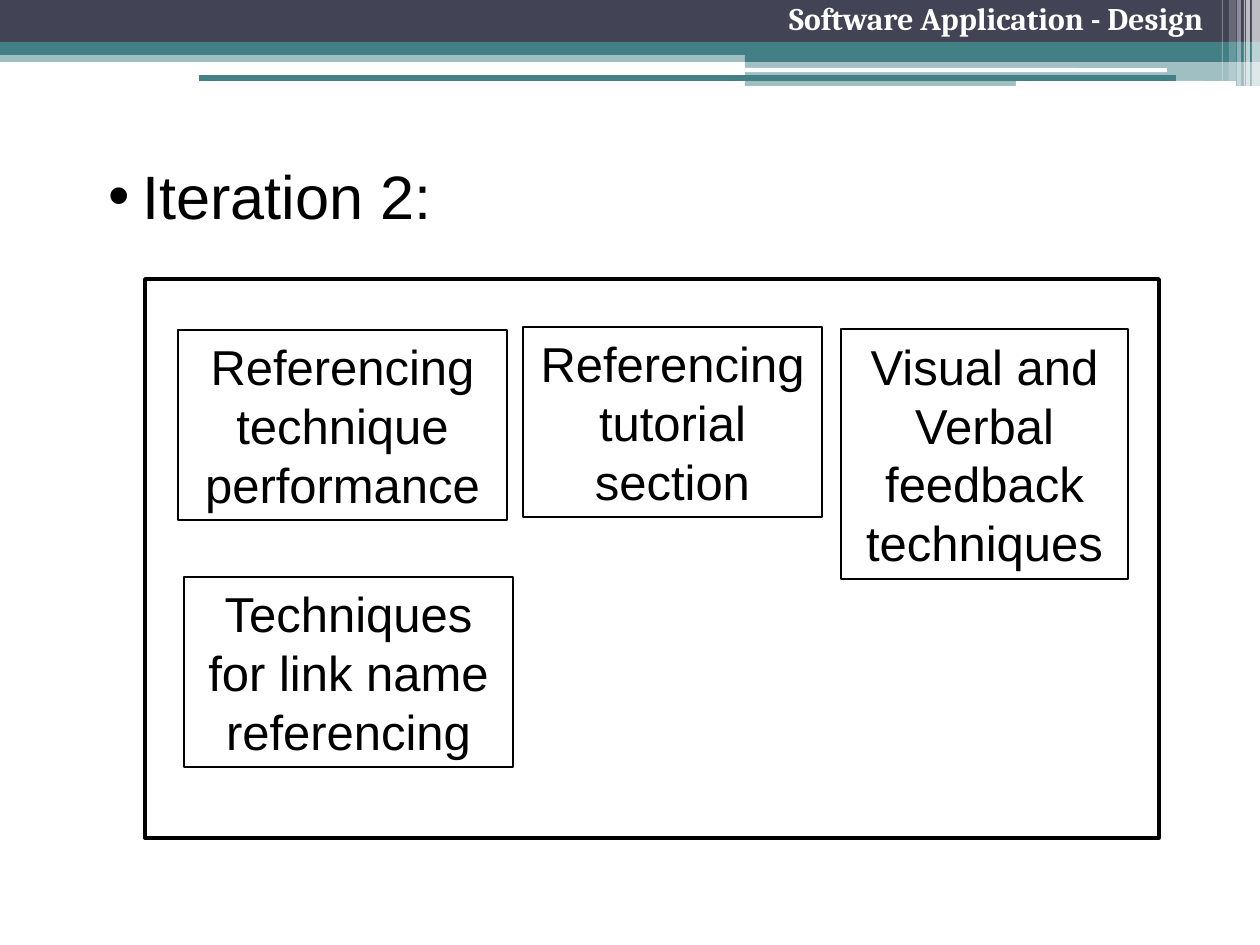
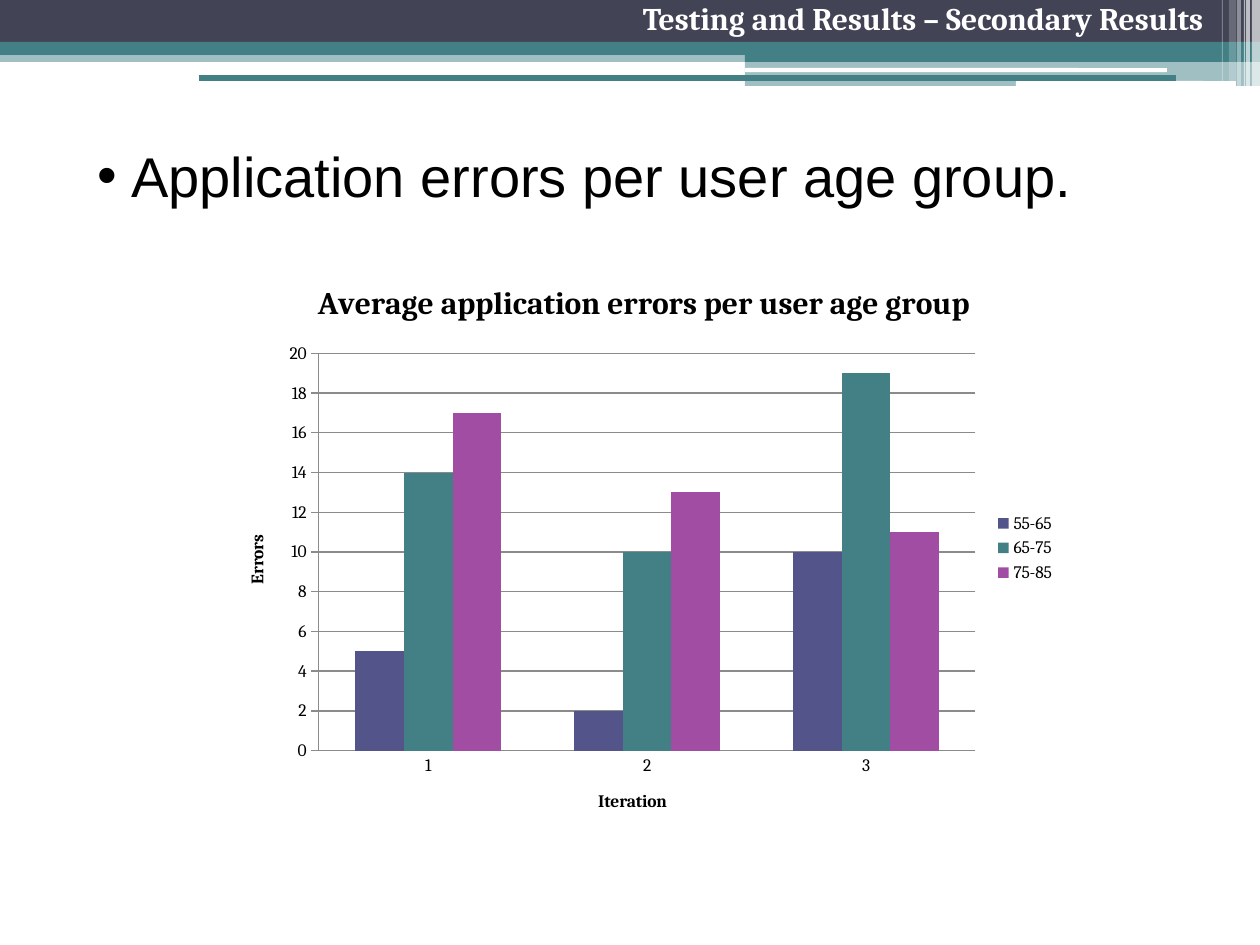
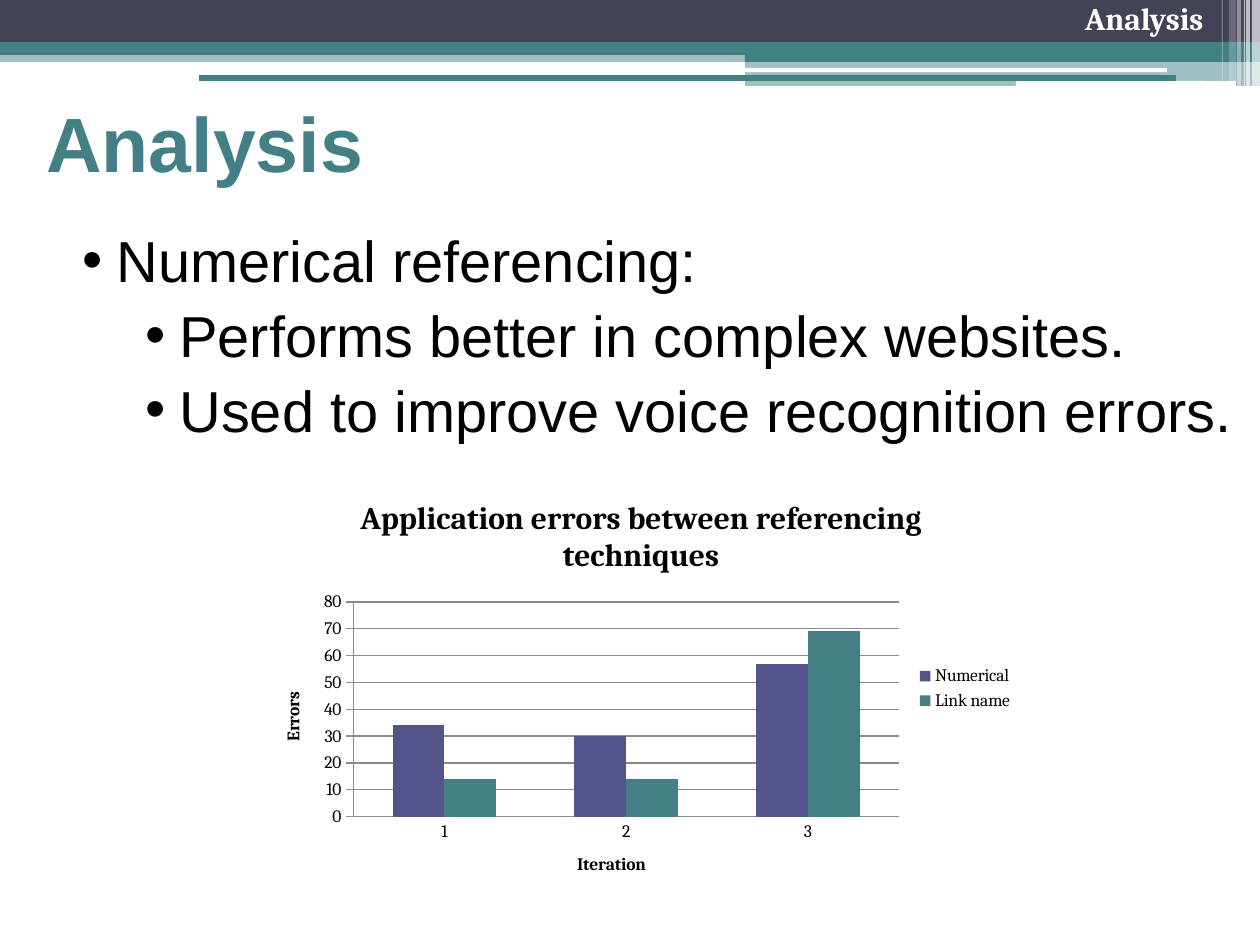
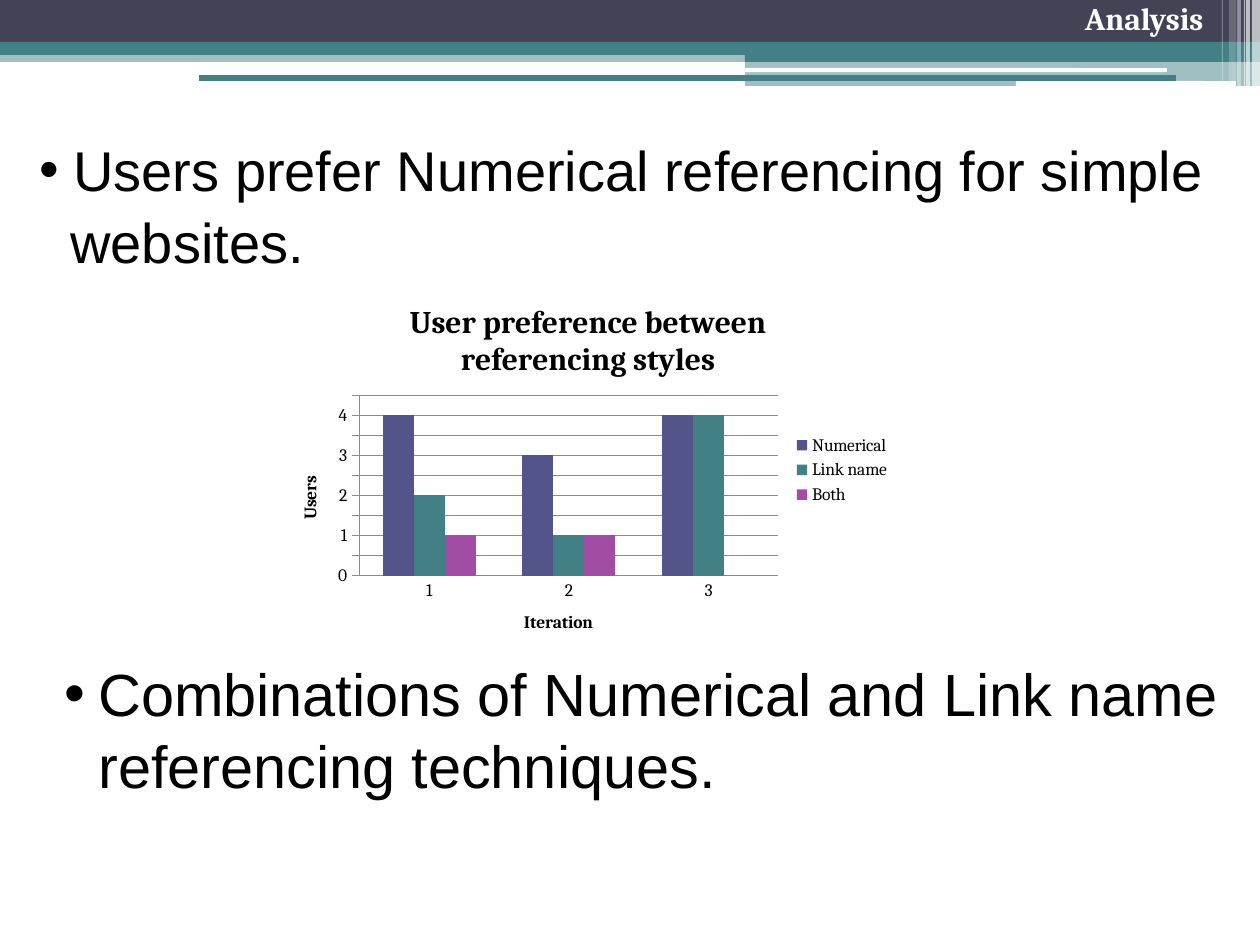
from lxml import etree
from pptx import Presentation
from pptx import util as u
from pptx.chart.data import CategoryChartData
from pptx.dml.color import RGBColor
from pptx.enum import chart as ch, shapes as sh, text as tx
from pptx.oxml.ns import qn

PX = 914400 // 126
COLORS = {"dark": "424456", "teal": "438086", "indigo": "53548A",
          "purple": "A04DA3", "white": "FFFFFF", "black": "000000",
          "grey": "8B8B8B"}
SERIES = ["indigo", "teal", "purple"]

# Top band: box, colour, opacity in percent, rounded
BAND = [
    ((0, 50, 1260, 12), "teal", 50, False),
    ((0, 0, 1260, 43), "dark", 100, False),
    ((0, 42, 1260, 13), "teal", 100, False),
    ((745, 49, 515, 13), "teal", 100, False),
    ((745, 61, 515, 25), "teal", 50, False),
    ((745, 68, 422, 4), "white", 100, True),
    ((1016, 81, 220, 5), "white", 100, True),
    ((1252, 0, 8, 86), "white", 65, False),
    ((1246, 0, 4, 86), "white", 65, False),
    ((1244, 0, 1, 86), "white", 60, False),
    ((1237, 0, 4, 86), "white", 40, False),
    ((1229, 0, 7, 81), "white", 20, False),
    ((1222, 0, 1, 81), "white", 30, False),
]
HEAD = {"size": 18, "name": "Cambria", "color": "white", "bold": True}
TITLE = {"size": 44, "name": "Arial", "color": "teal", "bold": True}

# Bullet lists: box, size, lines of (text, left margin, bulleted)
SLIDES = [
    {"head": "Software Application - Design",
     "lists": [((39, 152, 1157, 112), 35, [("Iteration 2:", 91, True)])],
     "boxes": [
         ((178, 330, 329, 190), "Referencing technique performance"),
         ((841, 329, 287, 250), "Visual and Verbal feedback techniques"),
         ((523, 327, 299, 190), "Referencing tutorial section"),
         ((184, 577, 329, 190), "Techniques for link name referencing")],
     "frame": (145, 279, 1014, 559)},
    {"head": "Testing and Results – Secondary Results",
     "lists": [((-35, 135, 1213, 146), 32,
                [("Application errors per user age group.", 154, True)])],
     "chart": {"box": (220, 258, 848, 580), "max": 20, "step": 2,
               "title": "Average application errors per user age group",
               "axis": "Errors",
               "rows": [("55-65", (5, 2, 10)), ("65-75", (14, 10, 19)),
                        ("75-85", (17, 13, 11))]}},
    {"head": "Analysis",
     "lists": [((-50, 219, 1344, 252), 33,
                [("Numerical referencing:", 154, True),
                 ("Performs better in complex websites.", 217, True),
                 ("Used to improve voice recognition errors.", 217, True)])],
     "title": ((34, 76, 862, 131), "Analysis"),
     "chart": {"box": (256, 476, 770, 425), "max": 80, "step": 10,
               "title": "Application errors between referencing techniques",
               "axis": "Errors",
               "rows": [("Numerical", (34, 30, 57)),
                        ("Link name", (14, 14, 69))]}},
    {"head": "Analysis",
     "lists": [((-93, 129, 1353, 170), 32,
                [("Users prefer Numerical referencing for simple", 154, True),
                 ("websites.", 151, False)]),
               ((-68, 651, 1450, 198), 34,
                [("Combinations of Numerical and Link name referencing "
                  "techniques.", 154, True)])],
     "chart": {"box": (273, 281, 630, 378), "max": 4.5, "step": 0.5,
               "title": "User preference between referencing styles",
               "axis": "Users",
               "rows": [("Numerical", (4, 3, 4)), ("Link name", (2, 1, 4)),
                        ("Both", (1, 1, 0))]}},
]


def emu(box):
    """Turn pixels into EMU."""
    return [u.Emu(n * PX) for n in box]


def rgb(name):
    """Look a colour up."""
    return RGBColor.from_string(COLORS[name])


def style(font, form):
    """Set font attributes from a dict."""
    for key, val in form.items():
        if key == "color":
            font.color.rgb = rgb(val)
        else:
            setattr(font, key, u.Pt(val) if key == "size" else val)


def write(para, words, form):
    """Add one styled run to a paragraph."""
    run = para.add_run()
    run.text = words
    style(run.font, form)


def add_rect(slide, box, fill=None, alpha=100, line=0, rounded=False):
    """Draw a rectangle with a fill or a black outline."""
    kind = sh.MSO_SHAPE.ROUNDED_RECTANGLE if rounded else sh.MSO_SHAPE.RECTANGLE
    rect = slide.shapes.add_shape(kind, *emu(box))
    rect.shadow.inherit = False
    if fill:
        rect.fill.solid()
        rect.fill.fore_color.rgb = rgb(fill)
        if alpha < 100:
            tint = rect.fill._xPr.find(".//" + qn("a:srgbClr"))
            etree.SubElement(tint, qn("a:alpha"), val=str(alpha * 1000))
    else:
        rect.fill.background()
    if line:
        rect.line.color.rgb = rgb("black")
        rect.line.width = u.Pt(line)
    else:
        rect.line.fill.background()
    return rect


def add_text(slide, box, anchor=tx.MSO_ANCHOR.TOP):
    """Add a wrapping text box and return its frame."""
    frame = slide.shapes.add_textbox(*emu(box)).text_frame
    frame.word_wrap = True
    frame.vertical_anchor = anchor
    return frame


def add_band(slide, layout):
    """Draw the top band and move it to the layout all slides share."""
    for box, fill, alpha, rounded in BAND:
        rect = add_rect(slide, box, fill, alpha, rounded=rounded)
        layout.shapes._spTree.append(rect._element)


def add_head(slide, words):
    """Write the running head and draw the rule below it."""
    para = add_text(slide, (481, 0, 735, 63)).paragraphs[0]
    form = {"alignment": tx.PP_ALIGN.RIGHT, "line_spacing": 0.8,
            "space_before": u.Pt(3.6)}
    for key, val in form.items():
        setattr(para, key, val)
    write(para, words, HEAD)
    rule = slide.shapes.add_connector(
        sh.MSO_CONNECTOR.STRAIGHT, *emu((199, 78, 1176, 78)))
    rule.line.color.rgb = rgb("teal")
    rule.line.width = u.Pt(3)
    etree.SubElement(rule._element.spPr, qn("a:effectLst"))


def add_list(slide, box, size, lines):
    """Write paragraphs with a hanging bullet."""
    frame = add_text(slide, box)
    for i, (words, left, dot) in enumerate(lines):
        para = frame.add_paragraph() if i else frame.paragraphs[0]
        para.space_before = u.Pt(3)
        props = para._p.get_or_add_pPr()
        props.set("marL", str(left * PX))
        props.set("indent", str(-34 * PX if dot else 0))
        if dot:
            etree.SubElement(props, qn("a:buFont"), typeface="Arial")
            etree.SubElement(props, qn("a:buChar"), char="•")
        write(para, words, {"size": size, "name": "Arial", "color": "black"})


def add_box(slide, box, words):
    """Draw an outlined box with centred text."""
    frame = add_rect(slide, box, line=0.75).text_frame
    frame.word_wrap = True
    frame.auto_size = tx.MSO_AUTO_SIZE.SHAPE_TO_FIT_TEXT
    para = frame.paragraphs[0]
    para.alignment = tx.PP_ALIGN.CENTER
    write(para, words, {"size": 28, "name": "Arial", "color": "black"})


def name_part(part, words, size):
    """Give a chart or an axis a bold title."""
    para = part.text_frame.paragraphs[0]
    write(para, words, {"size": size, "name": "Cambria", "color": "black",
                        "bold": True})


def add_graph(slide, item):
    """Add a clustered column chart."""
    data = CategoryChartData()
    data.categories = ["1", "2", "3"]
    for name, vals in item["rows"]:
        data.add_series(name, vals)
    graph = slide.shapes.add_chart(ch.XL_CHART_TYPE.COLUMN_CLUSTERED,
                                   *emu(item["box"]), data).chart
    style(graph.font, {"size": 10, "name": "Cambria", "color": "black"})
    graph.has_title = True
    name_part(graph.chart_title, item["title"], 18)
    graph.chart_title.include_in_layout = False
    graph.has_legend = True
    graph.legend.position = ch.XL_LEGEND_POSITION.RIGHT
    graph.legend.include_in_layout = False
    plot = graph.plots[0]
    plot.vary_by_categories = False
    plot.gap_width = 150
    for bars, fill in zip(plot.series, SERIES):
        bars.format.fill.solid()
        bars.format.fill.fore_color.rgb = rgb(fill)
    cat, val = graph.category_axis, graph.value_axis
    ticks = ch.XL_TICK_MARK
    for axis, words, tick in ((cat, "Iteration", ticks.NONE),
                              (val, item["axis"], ticks.CROSS)):
        name_part(axis.axis_title, words, 10)
        axis.major_tick_mark = tick
        axis.minor_tick_mark = ticks.NONE
        axis.format.line.color.rgb = rgb("grey")
    val.minimum_scale, val.maximum_scale = 0, item["max"]
    val.major_unit = item["step"]
    val.has_major_gridlines = True
    val.major_gridlines.format.line.color.rgb = rgb("grey")


def main():
    """Build the slides."""
    deck = Presentation()
    deck.slide_width, deck.slide_height = emu((1260, 945))
    blank = deck.slide_layouts[6]
    for i, page in enumerate(SLIDES):
        slide = deck.slides.add_slide(blank)
        if i == 0:
            add_band(slide, blank)
        add_head(slide, page["head"])
        for item in page["lists"]:
            add_list(slide, *item)
        for item in page.get("boxes", []):
            add_box(slide, *item)
        if "frame" in page:
            add_rect(slide, page["frame"], line=2)
        if "title" in page:
            box, words = page["title"]
            frame = add_text(slide, box, tx.MSO_ANCHOR.MIDDLE)
            write(frame.paragraphs[0], words, TITLE)
        if "chart" in page:
            add_graph(slide, page["chart"])
    deck.save("out.pptx")


main()
